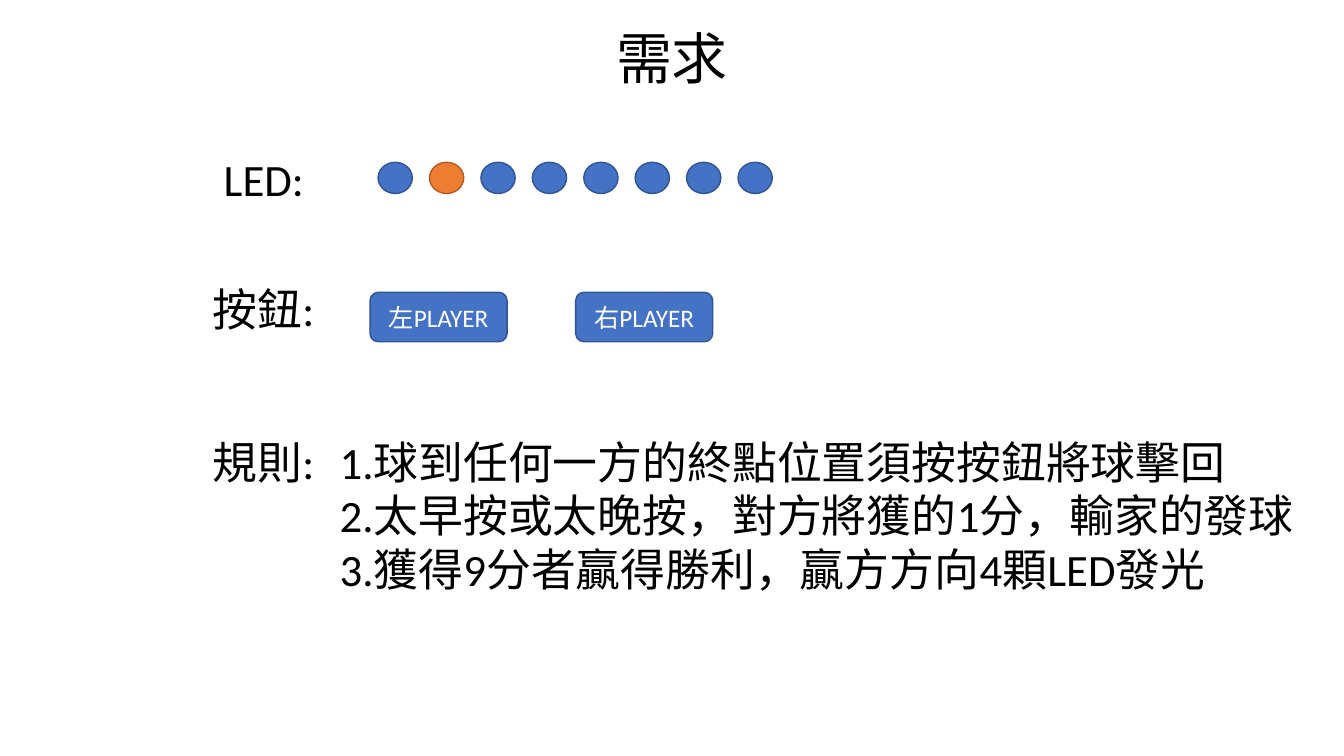
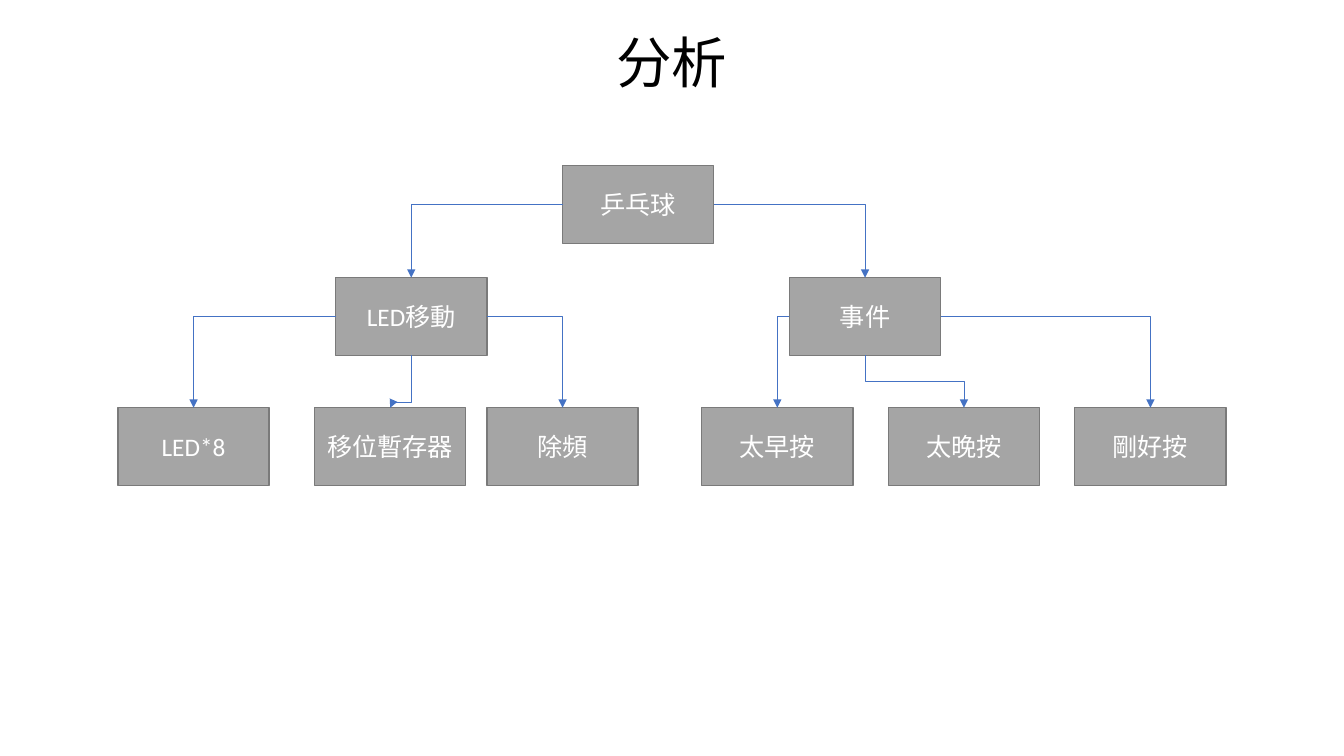
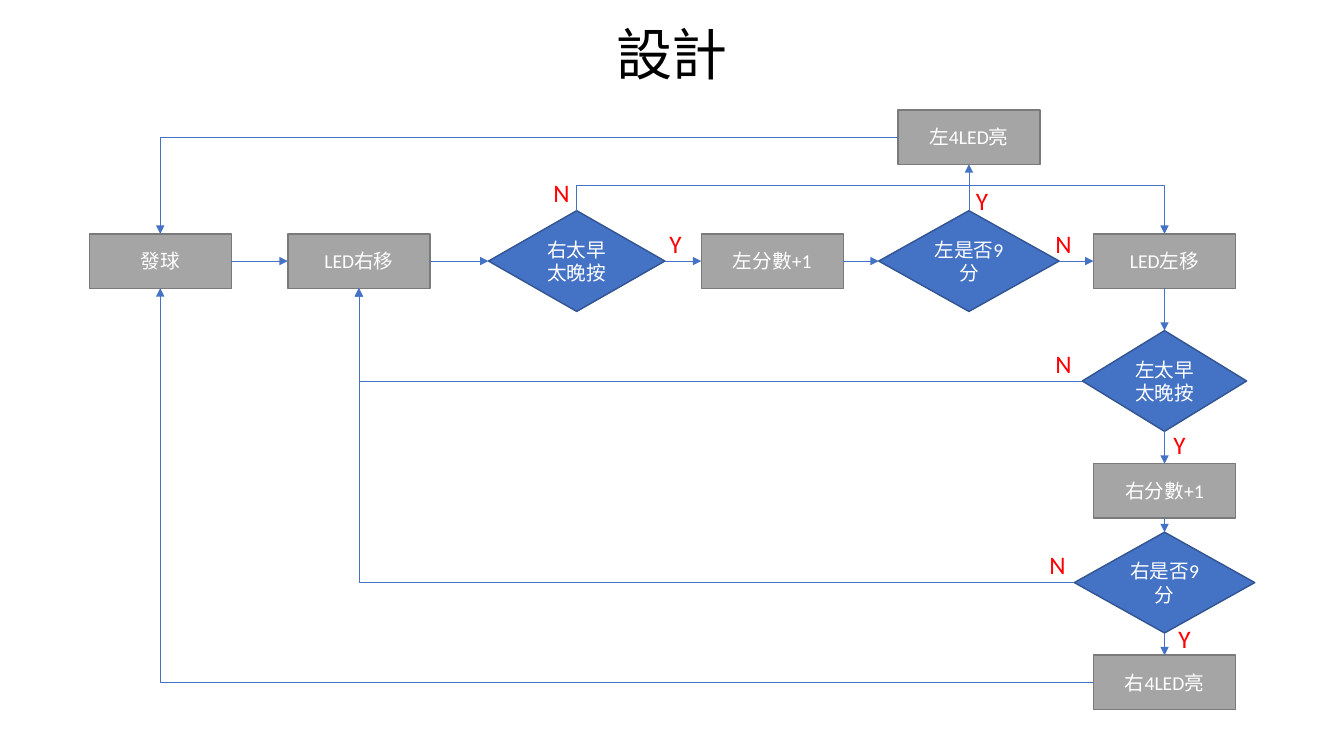
"""Build three slides on a ping-pong LED game: needs, analysis and design."""
from lxml import etree
from pptx import Presentation
from pptx.dml.color import RGBColor
from pptx.enum import shapes, text as text_enum
from pptx.oxml import ns
from pptx.util import Inches, Pt

COLORS = {
    "blue": "4472C4", "blue_edge": "325491",
    "orange": "ED7D31", "orange_edge": "AF5C24",
    "gray": "A5A5A5", "gray_edge": "7A7A7A",
    "black": "000000", "white": "FFFFFF", "red": "FF0000",
}
FONT = "Calibri"
SLIDE_WIDTH, SLIDE_HEIGHT = 13.33, 7.5
TOP, LEFT, BOTTOM, RIGHT = range(4)
SHAPES = shapes.MSO_SHAPE

HEADINGS = [("需求", 0.16, 0.89, 40), ("分析", 0.35, 0.59, 39.6), ("設計", 0.2, 0.74, 40)]

LED_COUNT, LIT_LED = 8, 1
BUTTONS = [("左PLAYER", 3.67), ("右PLAYER", 5.71)]
REQUIREMENT_LABELS = [
    ("LED:", 2.12, 1.46, 1.01), ("按鈕:", 2.01, 2.75, 1.22), ("規則:", 2.01, 4.26, 1.22),
]
RULES = """1.球到任何一方的終點位置須按按鈕將球擊回
2.太早按或太晚按，對方將獲的1分，輸家的發球
3.獲得9分者贏得勝利，贏方方向4顆LED發光"""

TREE_BOX = (1.5, 0.77)
TREE_ROWS = [
    (2.03, [("乒乓球", 6.33)]),
    (3.14, [("LED移動", 4.08), ("事件", 8.58)]),
    (4.43, [("LED*8", 1.92), ("移位暫存器", 3.87), ("除頻", 5.58),
            ("太早按", 7.71), ("太晚按", 9.56), ("剛好按", 11.41)]),
]
TREE_LINKS = [
    ("乒乓球", LEFT, "LED移動", TOP, None), ("乒乓球", RIGHT, "事件", TOP, None),
    ("LED移動", LEFT, "LED*8", TOP, None), ("LED移動", BOTTOM, "移位暫存器", TOP, 0.89),
    ("LED移動", RIGHT, "除頻", TOP, None), ("事件", LEFT, "太早按", TOP, None),
    ("事件", BOTTOM, "太晚按", TOP, 0.5), ("事件", RIGHT, "剛好按", TOP, None),
]

STEP_BOX = (1.41, 0.54)
MAIN_ROW, RIGHT_COLUMN = 2.59, 11.55
STEPS = [
    ("發球", 1.59, MAIN_ROW), ("LED右移", 3.56, MAIN_ROW), ("左分數+1", 7.66, MAIN_ROW),
    ("LED左移", RIGHT_COLUMN, MAIN_ROW), ("左4LED亮", 9.61, 1.36),
    ("右分數+1", RIGHT_COLUMN, 4.87), ("右4LED亮", RIGHT_COLUMN, 6.77),
]
DECISIONS = [
    ("右太早太晚按", 5.72, MAIN_ROW, 1.75), ("左是否9分", 9.61, MAIN_ROW, 1.79),
    ("左太早太晚按", RIGHT_COLUMN, 3.78, 1.63), ("右是否9分", RIGHT_COLUMN, 5.78, 1.79),
]
MAIN_CHAIN = ["發球", "LED右移", "右太早太晚按", "左分數+1", "左是否9分", "LED左移"]
DOWN_CHAIN = ["LED左移", "左太早太晚按", "右分數+1", "右是否9分", "右4LED亮"]
FLOW_BENDS = [
    ("右太早太晚按", TOP, "LED左移", TOP, -1.11), ("左太早太晚按", LEFT, "LED右移", BOTTOM, None),
    ("右是否9分", LEFT, "LED右移", BOTTOM, None), ("右4LED亮", LEFT, "發球", BOTTOM, None),
    ("左4LED亮", LEFT, "發球", TOP, None),
]
ANSWERS = [
    ("N", 10.31, 5.4), ("N", 10.37, 3.41), ("Y", 11.59, 6.13), ("Y", 9.58, 1.79),
    ("N", 5.39, 1.71), ("N", 10.37, 2.22), ("Y", 11.54, 4.21), ("Y", 6.54, 2.22),
]


def color(name):
    return RGBColor.from_string(COLORS[name])


def write(shape, content, size=18, ink="black", align="LEFT", anchor="TOP", wrap=True, spacing=None):
    frame = shape.text_frame
    frame.word_wrap = wrap
    frame.vertical_anchor = getattr(text_enum.MSO_ANCHOR, anchor)
    frame.text = content
    for paragraph in frame.paragraphs:
        paragraph.alignment = getattr(text_enum.PP_ALIGN, align)
        paragraph.line_spacing = spacing
        paragraph.font.name = FONT
        paragraph.font.size = Pt(size)
        paragraph.font.color.rgb = color(ink)


def add_label(slide, content, left, top, width, height, **style):
    box = slide.shapes.add_textbox(Inches(left), Inches(top), Inches(width), Inches(height))
    write(box, content, **style)


def add_block(slide, kind, left, top, width, height, fill, content="", size=18):
    shape = slide.shapes.add_shape(kind, Inches(left), Inches(top), Inches(width), Inches(height))
    shape.shadow.inherit = False
    shape.fill.solid()
    shape.fill.fore_color.rgb = color(fill)
    shape.line.color.rgb = color(fill + "_edge")
    shape.line.width = Pt(1)
    if content:
        write(shape, content, size=size, ink="white", align="CENTER", anchor="MIDDLE")
    return shape


def add_centered(slide, kind, x, y, width, height, *details):
    return add_block(slide, kind, x - width / 2, y - height / 2, width, height, *details)


def turn_upright(connector):
    """Rotate a downward elbow so that it leaves and arrives vertically."""
    left, top, width, height = connector.left, connector.top, connector.width, connector.height
    rightward = connector.end_x > connector.begin_x
    frame = connector._element.spPr.find(ns.qn("a:xfrm"))
    for flip in ("flipH", "flipV"):
        frame.attrib.pop(flip, None)
    frame.set("rot", str((270 if rightward else 90) * 60000))
    if rightward:
        frame.set("flipH", "1")
    connector.left = left + (width - height) // 2
    connector.top = top + (height - width) // 2
    connector.width, connector.height = height, width


def add_arrow(slide, nodes, start, start_side, end, end_side, bend=None, straight=False):
    """Join two nodes; an elbow without a bend value has one corner."""
    kind = shapes.MSO_CONNECTOR.STRAIGHT if straight else shapes.MSO_CONNECTOR.ELBOW
    connector = slide.shapes.add_connector(kind, 0, 0, 0, 0)
    connector.begin_connect(nodes[start], start_side)
    connector.end_connect(nodes[end], end_side)
    connector.line.color.rgb = color("blue")
    connector.line.width = Pt(0.5)
    properties = connector._element.spPr
    geometry = properties.find(ns.qn("a:prstGeom"))
    if bend is not None:
        turn_upright(connector)
        guide = etree.SubElement(geometry.find(ns.qn("a:avLst")), ns.qn("a:gd"))
        guide.set("name", "adj1")
        guide.set("fmla", f"val {round(bend * 100000)}")
    elif not straight:
        geometry.set("prst", "bentConnector2")
    etree.SubElement(properties.find(ns.qn("a:ln")), ns.qn("a:tailEnd")).set("type", "triangle")
    etree.SubElement(properties, ns.qn("a:effectLst"))


def add_titled_slide(presentation, heading):
    content, top, height, size = heading
    slide = presentation.slides.add_slide(presentation.slide_layouts[6])
    add_label(slide, content, 0, top, SLIDE_WIDTH, height, size=size,
              align="CENTER", anchor="MIDDLE", spacing=0.9)
    return slide


def fill_requirements(slide):
    for content, left, top, width in REQUIREMENT_LABELS:
        add_label(slide, content, left, top, width, 0.64, size=32, wrap=False)
    add_label(slide, RULES, 3.27, 4.26, 9.75, 1.72, size=32)
    for index in range(LED_COUNT):
        fill = "orange" if index == LIT_LED else "blue"
        add_block(slide, SHAPES.OVAL, 3.75 + 0.51 * index, 1.61, 0.34, 0.31, fill)
    for content, left in BUTTONS:
        add_block(slide, SHAPES.ROUNDED_RECTANGLE, left, 2.9, 1.36, 0.49, "blue", content)


def fill_analysis(slide):
    nodes = {
        name: add_centered(slide, SHAPES.RECTANGLE, x, y, *TREE_BOX, "gray", name)
        for y, row in TREE_ROWS for name, x in row
    }
    for link in TREE_LINKS:
        add_arrow(slide, nodes, *link)


def fill_design(slide):
    nodes = {}
    for name, x, y in STEPS:
        nodes[name] = add_centered(slide, SHAPES.RECTANGLE, x, y, *STEP_BOX, "gray", name, 14)
    for name, x, y, width in DECISIONS:
        nodes[name] = add_centered(
            slide, SHAPES.FLOWCHART_DECISION, x, y, width, 1, "blue", name, 14)
    for chain, leave, arrive in [(MAIN_CHAIN, RIGHT, LEFT), (DOWN_CHAIN, BOTTOM, TOP)]:
        for start, end in zip(chain, chain[1:]):
            add_arrow(slide, nodes, start, leave, end, arrive, straight=True)
    add_arrow(slide, nodes, "左是否9分", TOP, "左4LED亮", BOTTOM, straight=True)
    for bend in FLOW_BENDS:
        add_arrow(slide, nodes, *bend)
    for content, left, top in ANSWERS:
        add_label(slide, content, left, top, 0.36, 0.4, ink="red")


def main():
    presentation = Presentation()
    presentation.slide_width = Inches(SLIDE_WIDTH)
    presentation.slide_height = Inches(SLIDE_HEIGHT)
    for heading, fill in zip(HEADINGS, [fill_requirements, fill_analysis, fill_design]):
        fill(add_titled_slide(presentation, heading))
    presentation.save("out.pptx")


if __name__ == "__main__":
    main()
